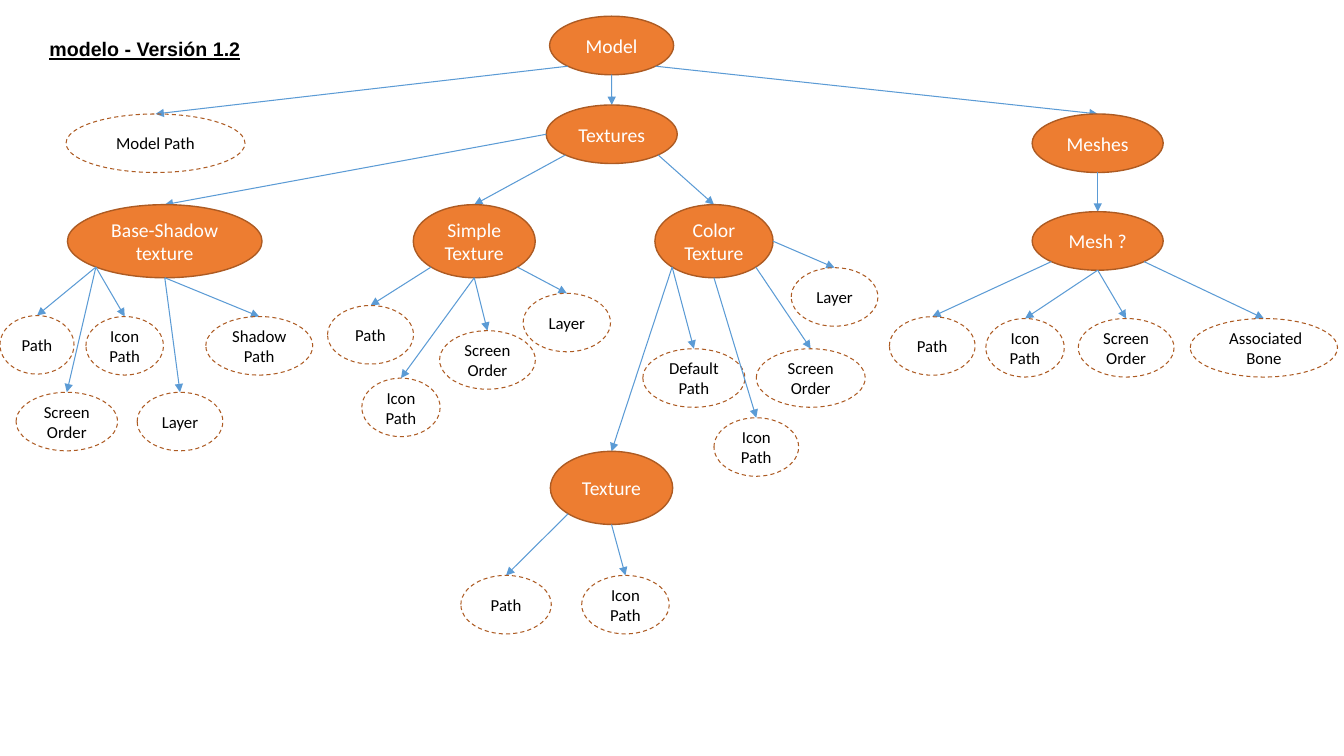
from pptx import Presentation
from pptx import util as u
from pptx.dml.color import RGBColor
from pptx.enum import dml, shapes, text
from pptx.oxml.ns import qn
from lxml import etree


def rgb(h):
    return RGBColor.from_string(h)


def style(p, **fmt):
    p.alignment = fmt.pop("alignment")
    color = fmt.pop("color")
    for r in p.runs:
        for k, v in fmt.items():
            setattr(r.font, k, v)
        r.font.color.rgb = rgb(color)


ORANGE, BROWN, BLUE = "ED7D31", "AD5B23", "5B9BD5"
LOW, TALL = 41.8, 52.2
EXITS = {
    "left": (0, 0.5), "lower left": (0.146, 0.854), "bottom": (0.5, 1),
    "lower right": (0.854, 0.854), "right": (1, 0.5),
}

branches = [
    ("Model", 392.6, 11.6, 88.6, LOW, None, None),
    ("Textures", 390.2, 75, 93.6, LOW, "Model", "bottom"),
    ("Meshes", 737.3, 81.4, 93.6, LOW, "Model", "lower right"),
    ("Base-Shadow texture", 48.2, 146.2, 139, TALL, "Textures", "left"),
    ("Simple Texture", 295.2, 146.2, 87.1, TALL, "Textures", "lower left"),
    ("Color Texture", 467.8, 146.2, 84.4, TALL, "Textures", "lower right"),
    ("Texture", 393.1, 322.4, 87.4, TALL, "Color Texture", "lower left"),
    ("Mesh ?", 737.3, 151.2, 93.6, LOW, "Meshes", "bottom"),
]
leaves = [
    ("Model Path", 47.2, 81.4, 127.8, "Model", "lower left"),
    ("Path", 0, 225.4, 52.9, "Base-Shadow texture", "lower left"),
    ("Icon Path", 61.4, 226.1, 55.4, "Base-Shadow texture", "lower left"),
    ("Shadow Path", 147, 226.1, 76.4, "Base-Shadow texture", "bottom"),
    ("Screen\nOrder", 11.5, 280.2, 72.5, "Base-Shadow texture", "lower left"),
    ("Layer", 98, 280.2, 61.2, "Base-Shadow texture", "bottom"),
    ("Path", 234, 218.2, 61.4, "Simple Texture", "lower left"),
    ("Icon Path", 258.5, 270.1, 55.9, "Simple Texture", "bottom"),
    ("Screen\nOrder", 314, 236.2, 68.4, "Simple Texture", "bottom"),
    ("Layer", 373.7, 209.5, 62.4, "Simple Texture", "lower right"),
    ("Default Path", 459.2, 249.1, 72.9, "Color Texture", "lower left"),
    ("Screen\nOrder", 540.2, 249.1, 77.8, "Color Texture", "lower right"),
    ("Layer", 565.2, 191.2, 61.9, "Color Texture", "right"),
    ("Icon Path", 510, 298.4, 60.5, "Color Texture", "bottom"),
    ("Path", 329.2, 411, 64.6, "Texture", "lower left"),
    ("Icon Path", 415.5, 411, 62.5, "Texture", "bottom"),
    ("Path", 635.3, 226.2, 61.2, "Mesh ?", "lower left"),
    ("Icon Path", 704.2, 227.5, 56, "Mesh ?", "bottom"),
    ("Screen\nOrder", 770.2, 227.5, 68.4, "Mesh ?", "bottom"),
    (" Associated Bone", 850.2, 227.5, 105.2, "Mesh ?", "lower right"),
]

prs = Presentation()
prs.slide_width, prs.slide_height = u.Pt(960), u.Pt(540)
s = prs.slides.add_slide(prs.slide_layouts[5])

title = s.shapes.title
title.left, title.top, title.width, title.height = map(u.Pt, (28.1, 19.4, 160.6, 25.9))
tf = title.text_frame
tf.text = "modelo - Versión 1.2"
frame = dict(word_wrap=True, auto_size=text.MSO_AUTO_SIZE.NONE,
             vertical_anchor=text.MSO_ANCHOR.TOP, margin_left=u.Pt(7.2),
             margin_right=u.Pt(7.2), margin_top=u.Pt(7.2), margin_bottom=u.Pt(7.2))
for k, v in frame.items():
    setattr(tf, k, v)
style(tf.paragraphs[0], alignment=text.PP_ALIGN.LEFT, color="000000",
      name="Arial", size=u.Pt(14), bold=True, underline=True)

boxes = {b[0]: b[1:5] for b in branches}
nodes = [(*b, True) for b in branches]
nodes += [(label, x, y, w, LOW, parent, side, False)
          for label, x, y, w, parent, side in leaves]

for label, x, y, w, h, parent, side, branch in nodes:
    if parent:
        px, py, pw, ph = boxes[parent]
        fx, fy = EXITS[side]
        ends = px + fx * pw, py + fy * ph, x + w / 2, y
        c = s.shapes.add_connector(shapes.MSO_CONNECTOR.STRAIGHT, *map(u.Pt, ends))
        c.line.color.rgb = rgb(BLUE)
        c.line.width = u.Pt(0.75)
        etree.SubElement(c.line._get_or_add_ln(), qn("a:tailEnd"), type="triangle")
        etree.SubElement(c._element.spPr, qn("a:effectLst"))

    sp = s.shapes.add_shape(shapes.MSO_SHAPE.OVAL, *map(u.Pt, (x, y, w, h)))
    sp.shadow.inherit = False
    sp.line.color.rgb = rgb(BROWN)
    sp.line.width = u.Pt(1 if branch else 0.75)
    if branch:
        sp.fill.solid()
        sp.fill.fore_color.rgb = rgb(ORANGE)
    else:
        sp.fill.background()
        sp.line.dash_style = dml.MSO_LINE.DASH
    tf = sp.text_frame
    tf.text = label
    tf.word_wrap = True
    tf.vertical_anchor = text.MSO_ANCHOR.MIDDLE
    for p in tf.paragraphs:
        style(p, alignment=text.PP_ALIGN.CENTER, name="Calibri",
              size=u.Pt(14 if branch else 12), color="FFFFFF" if branch else "000000")

prs.save("out.pptx")
